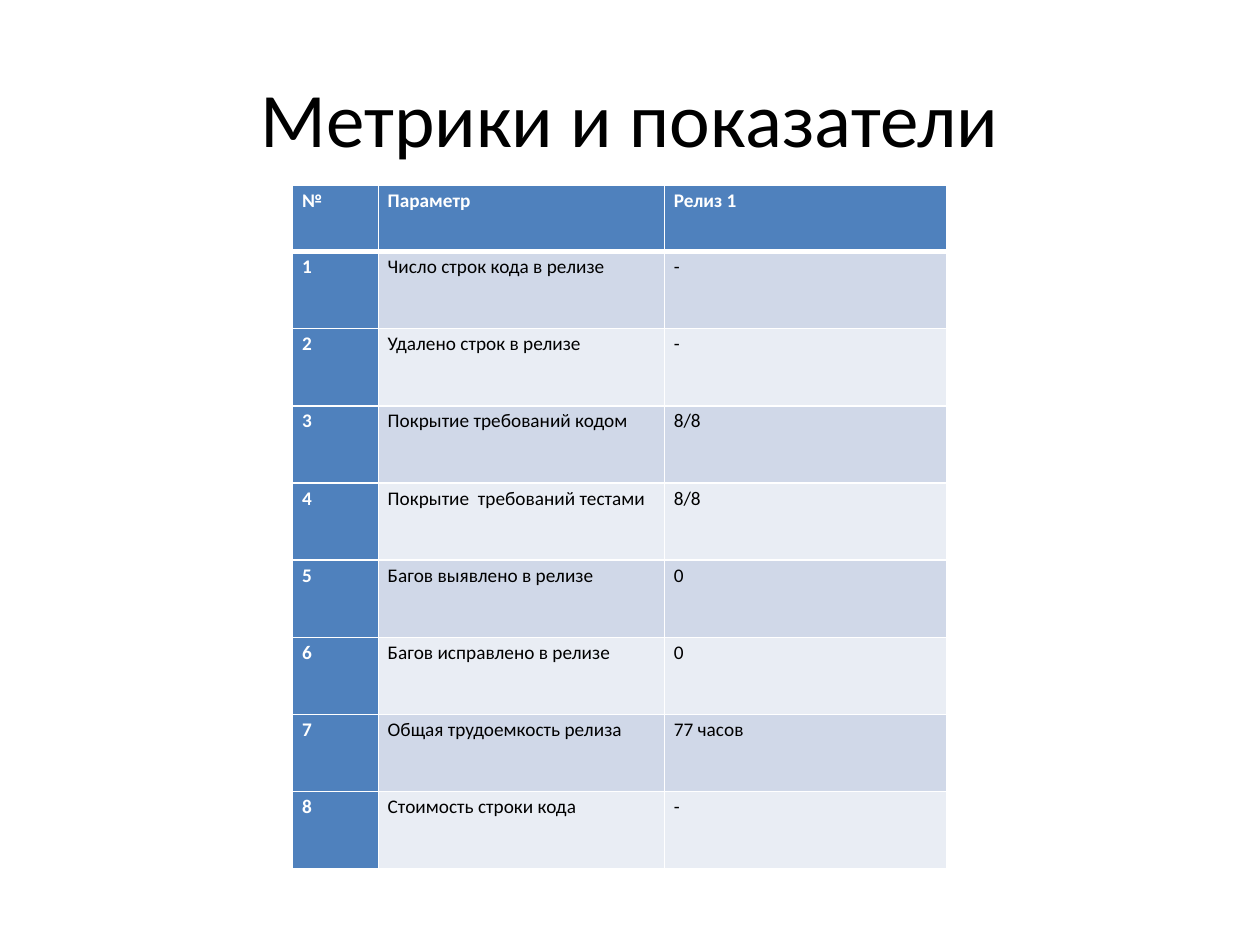
from lxml.etree import SubElement as Sub
from pptx import Presentation
from pptx.dml.color import RGBColor as Rgb
from pptx.enum.text import MSO_ANCHOR as Anchor, PP_ALIGN as Align
from pptx.oxml.ns import qn
from pptx.util import Pt

HEX = {"head": "4F81BD", "odd": "D0D8E8", "even": "E9EDF4",
       "white": "FFFFFF", "black": "000000"}
FONT = "Calibri"
TITLE = "Метрики и показатели"
HEADS = ("№", "Параметр", "Релиз 1")
ITEMS = (
    ("Число строк кода в релизе", "-"),
    ("Удалено строк в релизе", "-"),
    ("Покрытие требований кодом", "8/8"),
    ("Покрытие  требований тестами", "8/8"),
    ("Багов выявлено в релизе", "0"),
    ("Багов исправлено в релизе", "0"),
    ("Общая трудоемкость релиза", "77 часов"),
    ("Стоимость строки кода", "-"),
)
COLS = (49, 163.5, 161.5)
HEAD_H, ROW_H = 38, 44.1
PAD = {"margin_left": 5.4, "margin_right": 5.4, "margin_top": 0, "margin_bottom": 0}


def style(font, size, color, bold=False):
    for key, val in {"name": FONT, "size": Pt(size), "bold": bold}.items():
        setattr(font, key, val)
    font.color.rgb = Rgb.from_string(HEX[color])


def edge(cell, low):
    """Draw white cell borders, with the bottom one of the given width."""
    props = cell._tc.get_or_add_tcPr()
    for side, width in (("L", 1), ("R", 1), ("T", 1), ("B", low)):
        line = Sub(props, qn(f"a:ln{side}"), w=str(Pt(width)))
        fill = Sub(line, qn("a:solidFill"))
        Sub(fill, qn("a:srgbClr"), val=HEX["white"])


def add_title(slide, box):
    shape = slide.shapes.add_textbox(*map(Pt, box))
    frame = shape.text_frame
    frame.word_wrap = True
    frame.vertical_anchor = Anchor.MIDDLE
    para = frame.paragraphs[0]
    para.alignment = Align.CENTER
    run = para.add_run()
    run.text = TITLE
    style(run.font, 44, "black")


def fill_cell(cell, text, fill, strong, low):
    for key, val in PAD.items():
        setattr(cell, key, Pt(val))
    # Borders come before the fill in the cell properties
    edge(cell, low)
    cell.fill.solid()
    cell.fill.fore_color.rgb = Rgb.from_string(HEX[fill])
    para = cell.text_frame.paragraphs[0]
    para.line_spacing = 1.15
    run = para.add_run()
    run.text = text
    style(run.font, 11, "white" if strong else "black", strong)


def add_grid(slide, box):
    rows = [HEADS] + [(str(n), *item) for n, item in enumerate(ITEMS, 1)]
    grid = slide.shapes.add_table(len(rows), len(COLS), *map(Pt, box)).table
    grid.first_col = True
    for col, width in zip(grid.columns, COLS):
        col.width = Pt(width)
    for r, row in enumerate(rows):
        grid.rows[r].height = Pt(ROW_H if r else HEAD_H)
        for c, text in enumerate(row):
            strong = r == 0 or c == 0
            band = "odd" if r % 2 else "even"
            fill_cell(grid.cell(r, c), text, "head" if strong else band,
                      strong, 1 if r else 3)


def main():
    deck = Presentation()
    deck.slide_width, deck.slide_height = Pt(720), Pt(540)
    slide = deck.slides.add_slide(deck.slide_layouts[6])
    add_title(slide, (36, 21.6, 648, 90))
    add_grid(slide, (167.2, 105.8, sum(COLS), HEAD_H + ROW_H * len(ITEMS)))
    deck.save("out.pptx")


if __name__ == "__main__":
    main()
